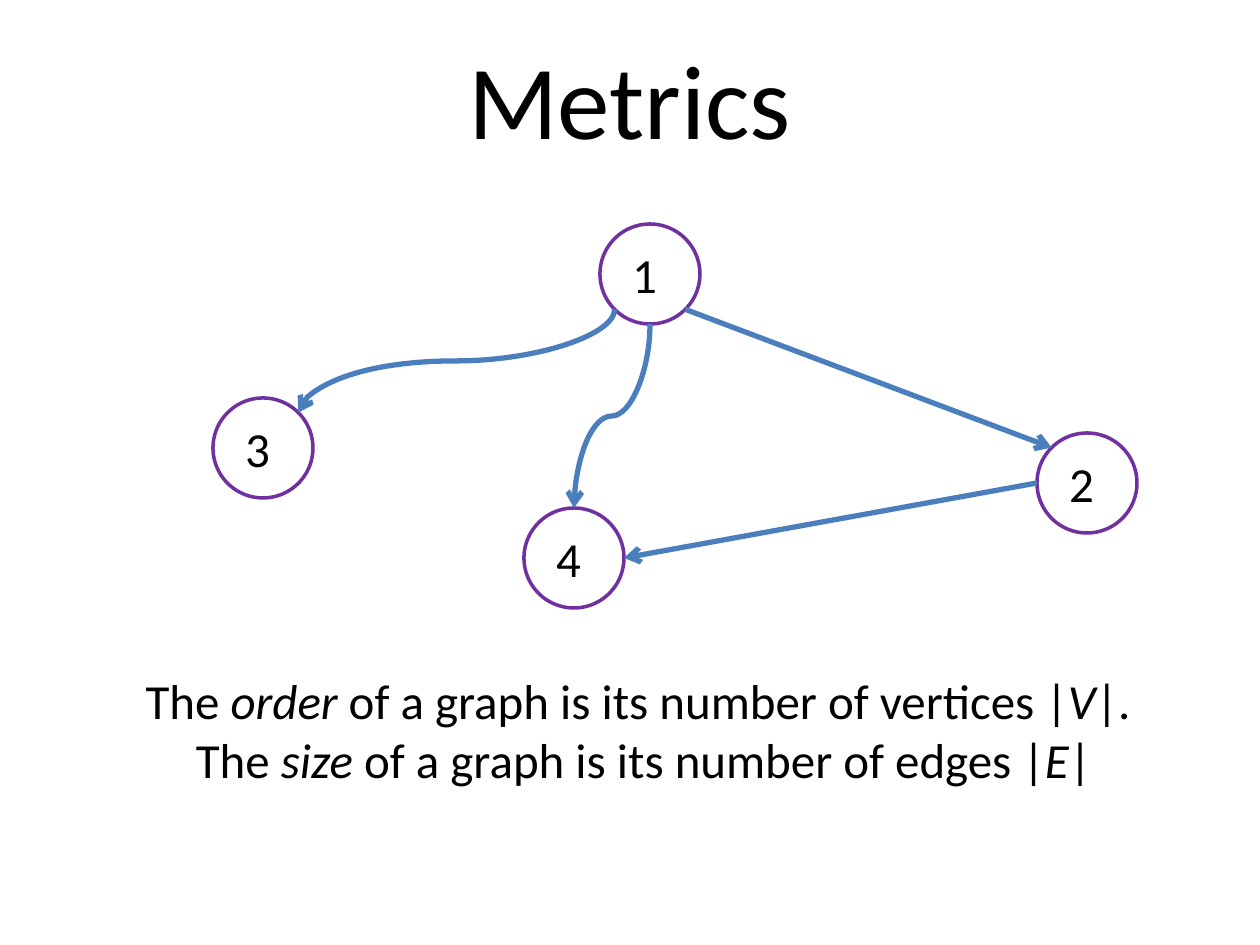
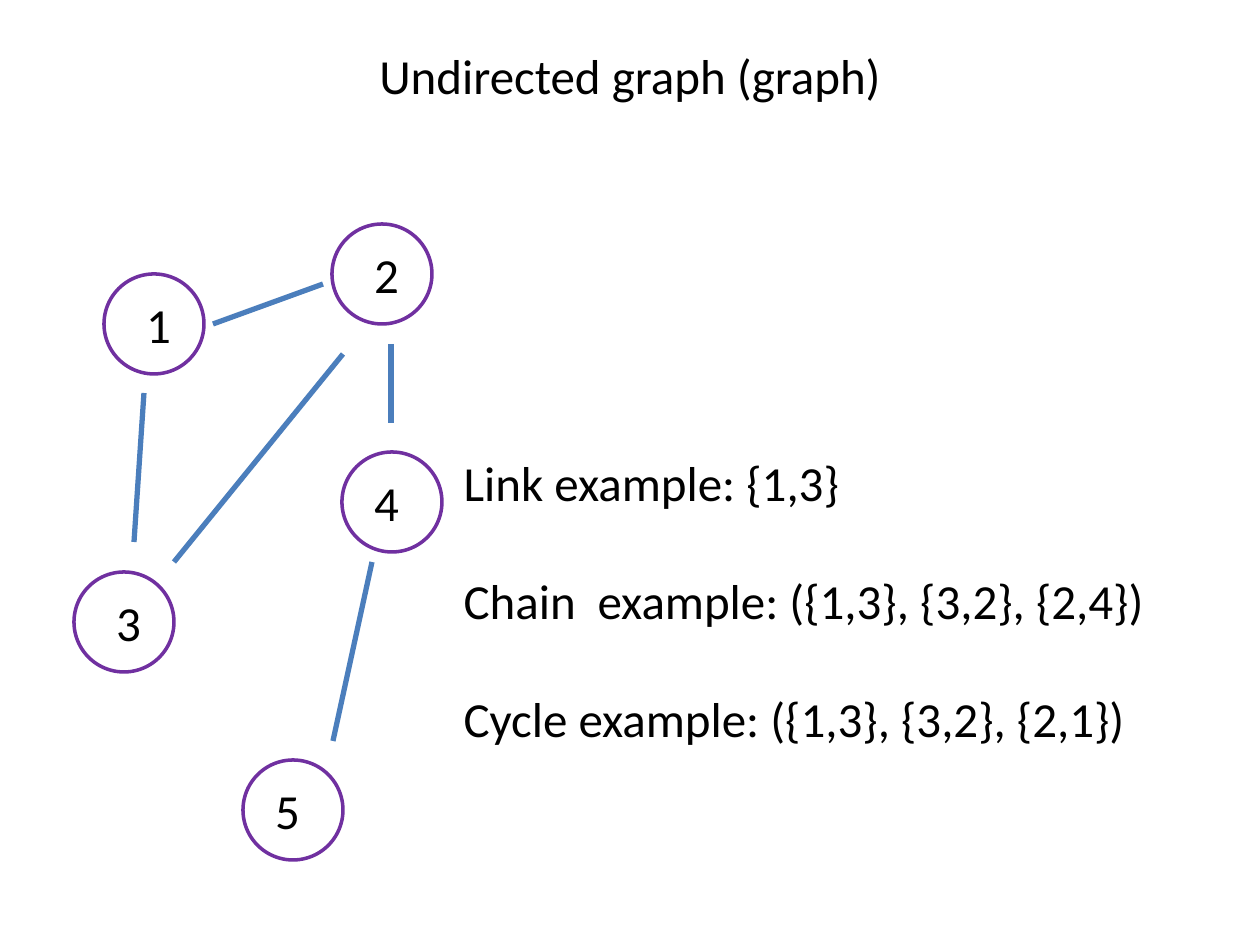
"""Build two slides on graph metrics and undirected graphs."""
import math

import lxml.etree
import pptx
import pptx.dml.color
import pptx.enum.shapes
import pptx.enum.text
import pptx.oxml.ns
import pptx.util

EMU_PER_PX = 914400 / 126
NODE = 100
COLORS = {"text": "000000", "paper": "FFFFFF", "node": "7030A0", "edge": "4B7EBC"}
ANGLES = {"right": 0, "lower right": 45, "bottom": 90, "lower left": 135,
          "left": 180, "top": 270, "upper right": 315, "upper left": 225}
ALIGN = pptx.enum.text.PP_ALIGN
ANCHOR = pptx.enum.text.MSO_ANCHOR
CONNECTOR = pptx.enum.shapes.MSO_CONNECTOR


def px(length):
    """Turn pixels into EMU."""
    return pptx.util.Emu(round(length * EMU_PER_PX))


def color(name):
    """Look up a named colour."""
    return pptx.dml.color.RGBColor.from_string(COLORS[name])


def add_child(parent, tag, **attributes):
    """Append a DrawingML element to its parent."""
    return lxml.etree.SubElement(parent, pptx.oxml.ns.qn(tag), attributes)


def site(corner, name):
    """Find a connection point on the rim of a node."""
    angle = math.radians(ANGLES[name])
    centre = NODE / 2
    return (corner[0] + centre + centre * math.cos(angle),
            corner[1] + centre + centre * math.sin(angle))


class GraphDeck:
    """Hold the shared style and the current slide."""

    font = "Calibri"
    size = 28
    indent = 71

    def __init__(self):
        """Start an empty 4:3 deck."""
        self.deck = pptx.Presentation()
        self.deck.slide_width, self.deck.slide_height = px(1260), px(945)
        self.page = None

    def add_page(self, title, area, size):
        """Add a slide with its title."""
        self.page = self.deck.slides.add_slide(self.deck.slide_layouts[1])
        self.fill_box(self.page.shapes.title, area, [[title]], ALIGN.CENTER, size)

    def fill_box(self, box, area, lines, align, size=None):
        """Place a text holder and write its lines, every second run in italics."""
        box.left, box.top, box.width, box.height = map(px, area)
        frame = box.text_frame
        frame.word_wrap = True
        frame.auto_size = pptx.enum.text.MSO_AUTO_SIZE.NONE
        frame.vertical_anchor = ANCHOR.MIDDLE
        for number, line in enumerate(lines):
            para = frame.add_paragraph() if number else frame.paragraphs[0]
            para.alignment = align
            for position, text in enumerate(line):
                span = para.add_run()
                span.text = text
                span.font.name = self.font
                span.font.size = pptx.util.Pt(size or self.size)
                span.font.italic = position % 2 == 1
                span.font.color.rgb = color("text")
        return frame

    def add_body(self, area, lines, align, gap=0):
        """Fill the body placeholder with unbulleted, hanging lines."""
        frame = self.fill_box(self.page.placeholders[1], area, lines, align)
        for para in frame.paragraphs:
            para.space_before = pptx.util.Pt(0)
            para.space_after = pptx.util.Pt(gap)
            properties = para._p.get_or_add_pPr()
            properties.set("marL", str(px(self.indent)))
            properties.set("indent", str(-px(self.indent)))
            add_child(properties, "a:buNone")
        return frame

    def add_node(self, label, corner, shift=20):
        """Draw a numbered circle."""
        left, top = corner
        circle = self.page.shapes.add_shape(
            pptx.enum.shapes.MSO_SHAPE.OVAL, px(left), px(top), px(NODE), px(NODE))
        circle.shadow.inherit = False
        circle.fill.solid()
        circle.fill.fore_color.rgb = color("paper")
        circle.line.color.rgb = color("node")
        circle.line.width = pptx.util.Pt(2)
        box = self.page.shapes.add_textbox(0, 0, 0, 0)
        frame = self.fill_box(box, (left + shift, top + 10, 49, 79), [[label]], ALIGN.CENTER)
        frame.word_wrap = False

    def add_edge(self, start, end, curved=False, arrow=False):
        """Draw a straight edge, or a curve that leaves downwards."""
        kind = CONNECTOR.STRAIGHT
        if curved:
            kind = CONNECTOR.CURVE
            middle_x, middle_y = (start[0] + end[0]) / 2, (start[1] + end[1]) / 2
            half_x, half_y = abs(end[0] - start[0]) / 2, (end[1] - start[1]) / 2
            start = middle_x - half_y, middle_y - half_x
            end = middle_x + half_y, middle_y + half_x
        edge = self.page.shapes.add_connector(kind, *map(px, (*start, *end)))
        edge.line.color.rgb = color("edge")
        edge.line.width = pptx.util.Pt(3)
        properties = edge._element.spPr
        if curved:
            properties.find(pptx.oxml.ns.qn("a:xfrm")).set("rot", "5400000")
        if arrow:
            add_child(properties.find(pptx.oxml.ns.qn("a:ln")), "a:tailEnd", type="arrow")
        add_child(properties, "a:effectLst")


def build_metrics(graph):
    """Build the slide on order and size."""
    graph.add_page("Metrics", (94, -4, 1071, 203), 60)
    nodes = {"1": (600, 224), "2": (1037, 433), "3": (213, 398), "4": (524, 508)}
    for label, corner in nodes.items():
        graph.add_node(label, corner)
    for source, leave, target, arrive, curved in (
            ("1", "lower right", "2", "upper left", False),
            ("1", "lower left", "3", "upper right", True),
            ("1", "bottom", "4", "top", True),
            ("2", "left", "4", "right", False)):
        graph.add_edge(site(nodes[source], leave), site(nodes[target], arrive), curved, True)
    graph.add_body((112, 655, 1052, 149), [
        ["The ", "order", " of a graph is its number of vertices |", "V", "|."],
        [" The ", "size", " of a graph is its number of edges |", "E", "|"],
    ], ALIGN.CENTER)


def build_undirected(graph):
    """Build the slide on links, chains and cycles."""
    graph.add_page("Undirected graph (graph)", (0, 0, 1260, 149), 28)
    for label, corner, shift in (
            ("1", (104, 274), 30), ("2", (332, 224), 30), ("3", (74, 572), 30),
            ("4", (342, 452), 20), ("5", (243, 760), 20)):
        graph.add_node(label, corner, shift)
    for start, end in (
            ((323, 284), (213, 324)), ((144, 393), (134, 542)), ((174, 562), (343, 354)),
            ((391, 344), (391, 423)), ((372, 562), (333, 741))):
        graph.add_edge(start, end)
    frame = graph.add_body((451, 383, 779, 496), [
        ["Link example: {1,3}"],
        ["Chain\texample: ({1,3}, {3,2}, {2,4})"],
        ["Cycle example: ({1,3}, {3,2}, {2,1})"],
    ], ALIGN.LEFT, gap=34)
    frame.vertical_anchor = ANCHOR.TOP
    frame.margin_top = px(69)


def main():
    """Build and save the deck."""
    graph = GraphDeck()
    build_metrics(graph)
    build_undirected(graph)
    graph.deck.save("out.pptx")


if __name__ == "__main__":
    main()
